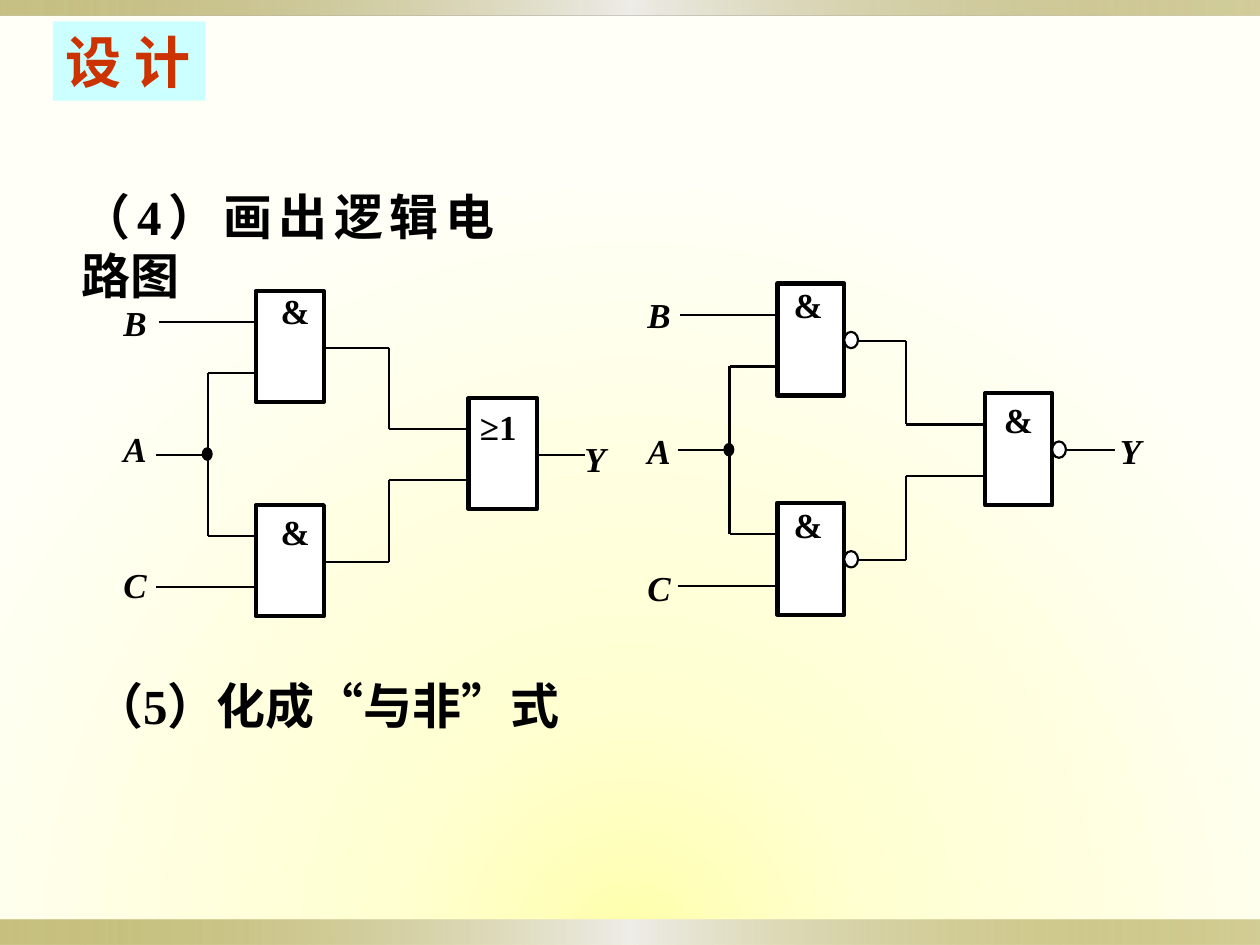
from lxml.etree import SubElement
from pptx import Presentation
from pptx.dml.color import RGBColor
from pptx.enum.shapes import MSO_CONNECTOR, MSO_SHAPE
from pptx.enum.text import MSO_ANCHOR, MSO_AUTO_SIZE, PP_ALIGN
from pptx.oxml import parse_xml
from pptx.oxml.ns import nsdecls, qn
from pptx.util import Inches, Pt

COLORS = {
    "ink": "000000",
    "paper": "FFFFFF",
    "title": "CC3300",
    "title_fill": "CCFFFF",
    "bar": "918415",
    "bar_middle": "EEEDE8",
    "glow": "FFFFAC",
    "glow_middle": "FFFFD2",
    "glow_edge": "FFFFF7",
}
GLOW = '<a:path path="circle"><a:fillToRect l="50000" t="150000" r="50000" b="0"/></a:path>'
ACROSS = '<a:lin ang="0" scaled="1"/>'


def color(name):
    return RGBColor.from_string(COLORS[name])


def write(frame, text, size=20, ink="ink", italic=False, align=PP_ALIGN.JUSTIFY):
    para = frame.paragraphs[0]
    para.alignment = align
    span = para.add_run()
    span.text = text
    span.font.name = "Times New Roman"
    span.font.size = Pt(size)
    span.font.bold = True
    span.font.italic = italic
    span.font.color.rgb = color(ink)


def set_gradient(owner, stops, direction):
    parts = []
    for position, name, alpha in stops:
        parts.append(
            f'<a:gs pos="{position * 1000}"><a:srgbClr val="{COLORS[name]}">'
            f'<a:alpha val="{alpha * 1000}"/></a:srgbClr></a:gs>'
        )
    gradient = parse_xml(
        f'<a:gradFill {nsdecls("a")} rotWithShape="1">'
        f'<a:gsLst>{"".join(parts)}</a:gsLst>{direction}</a:gradFill>'
    )
    solid = owner.element.find(".//" + qn("a:solidFill"))
    solid.getparent().replace(solid, gradient)


class Painter:
    def __init__(self, page):
        self.page = page
        self.shapes = page.shapes

    def background(self):
        self.page.background.fill.solid()
        self.page.background.fill.fore_color.rgb = color("glow")
        stops = [(0, "glow", 100), (31, "glow_middle", 100), (100, "glow_edge", 100)]
        set_gradient(self.page, stops, GLOW)

    def start_group(self):
        self.shapes = self.page.shapes.add_group_shape().shapes

    def end_group(self):
        self.shapes = self.page.shapes

    def shape(self, kind, left, top, width, height, fill="paper", line=None):
        shape = self.shapes.add_shape(
            kind, Inches(left), Inches(top), Inches(width), Inches(height)
        )
        shape.shadow.inherit = False
        shape.fill.solid()
        shape.fill.fore_color.rgb = color(fill)
        if line:
            shape.line.color.rgb = color("ink")
            shape.line.width = Pt(line)
        else:
            shape.line.fill.background()
        return shape

    def bar(self, top, height):
        bar = self.shape(MSO_SHAPE.RECTANGLE, 0, top, 10, height, "bar")
        stops = [(0, "bar", 50), (50, "bar_middle", 100), (100, "bar", 40)]
        set_gradient(bar, stops, ACROSS)

    def title(self, text):
        box = self.shape(MSO_SHAPE.RECTANGLE, 0.42, 0.17, 1.21, 0.63, "title_fill")
        frame = box.text_frame
        frame.word_wrap = False
        frame.vertical_anchor = MSO_ANCHOR.MIDDLE
        write(frame, text, size=32, ink="title", align=PP_ALIGN.LEFT)

    def text(self, text, left, top, width=0.62, height=0.7, grow=False, **style):
        box = self.shapes.add_textbox(
            Inches(left), Inches(top), Inches(width), Inches(height)
        )
        box.text_frame.word_wrap = True
        if grow:
            box.text_frame.auto_size = MSO_AUTO_SIZE.SHAPE_TO_FIT_TEXT
        write(box.text_frame, text, **style)

    def wire(self, *points):
        for start, end in zip(points, points[1:]):
            line = self.shapes.add_connector(
                MSO_CONNECTOR.STRAIGHT, *[Inches(value) for value in start + end]
            )
            line.line.color.rgb = color("ink")
            line.line.width = Pt(1.25)
            SubElement(line.element.spPr, qn("a:effectLst"))

    def gate(self, left, top, width, height, symbol, shift, inverted):
        self.shape(MSO_SHAPE.RECTANGLE, left, top, width, height, line=2.5)
        self.text(symbol, left + shift[0], top + shift[1], width=0.7)
        if not inverted:
            return left + width
        middle = top + height * 0.51
        self.shape(
            MSO_SHAPE.OVAL, left + width, middle - 0.07, 0.11, 0.13, line=1.25
        )
        return left + width + 0.12

    def circuit(self, size, upper, lower, final, symbols, shifts, end, labels, inverted):
        self.start_group()
        height = size[1]
        gates = [upper, lower, final]
        exits = [
            self.gate(*place, *size, symbol, shift, inverted)
            for place, symbol, shift in zip(gates, symbols, shifts)
        ]
        first = [top + height * 0.28 for _, top in gates]
        second = [top + height * 0.74 for _, top in gates]
        middle = [top + height * 0.51 for _, top in gates]
        entry, target = upper[0], final[0]
        start, node, turn = entry - 0.79, entry - 0.38, target - 0.63

        self.wire((start + 0.02, first[0]), (entry, first[0]))
        self.wire((start, second[1]), (entry, second[1]))
        self.wire((start, middle[2]), (node, middle[2]))
        self.wire((entry, second[0]), (node, second[0]), (node, first[1]), (entry, first[1]))
        for index, level in enumerate((first[2], second[2])):
            self.wire(
                (exits[index], middle[index]),
                (turn, middle[index]),
                (turn, level),
                (target, level),
            )
        self.wire((exits[2], middle[2]), (end, middle[2]))
        self.shape(
            MSO_SHAPE.OVAL, node - 0.04, middle[2] - 0.05, 0.07, 0.09, "ink", 1.25
        )
        for name, place in labels.items():
            self.text(name, *place, italic=True)
        self.end_group()


def main():
    deck = Presentation()
    deck.slide_width, deck.slide_height = Inches(10), Inches(7.5)
    painter = Painter(deck.slides.add_slide(deck.slide_layouts[6]))
    painter.background()
    painter.bar(7.3, 0.2)
    painter.bar(0, 0.12)
    painter.text("（4）画出逻辑电路图", 0.55, 1.43, 3.47, 0.5, grow=True, size=28)
    painter.circuit(
        size=(0.54, 0.88),
        upper=(2.03, 2.31),
        lower=(2.03, 4.01),
        final=(3.72, 3.16),
        symbols=["&", "&", "≥1"],
        shifts=[(0.1, -0.06), (0.1, -0.01), (-0.01, 0.01)],
        end=4.64,
        labels={"B": (0.88, 2.34), "C": (0.88, 4.42), "A": (0.88, 3.34), "Y": (4.54, 3.42)},
        inverted=False,
    )
    painter.circuit(
        size=(0.53, 0.89),
        upper=(6.17, 2.25),
        lower=(6.17, 3.99),
        final=(7.82, 3.12),
        symbols=["&", "&", "&"],
        shifts=[(0.03, -0.05), (0.03, -0.04), (0.05, -0.01)],
        end=8.85,
        labels={"B": (5.04, 2.28), "C": (5.04, 4.45), "A": (5.04, 3.36), "Y": (8.79, 3.36)},
        inverted=True,
    )
    painter.text("（5）化成“与非”式", 0.65, 5.31, 4.82, 0.57, grow=True, size=28)
    painter.title("设 计")
    deck.save("out.pptx")


if __name__ == "__main__":
    main()
